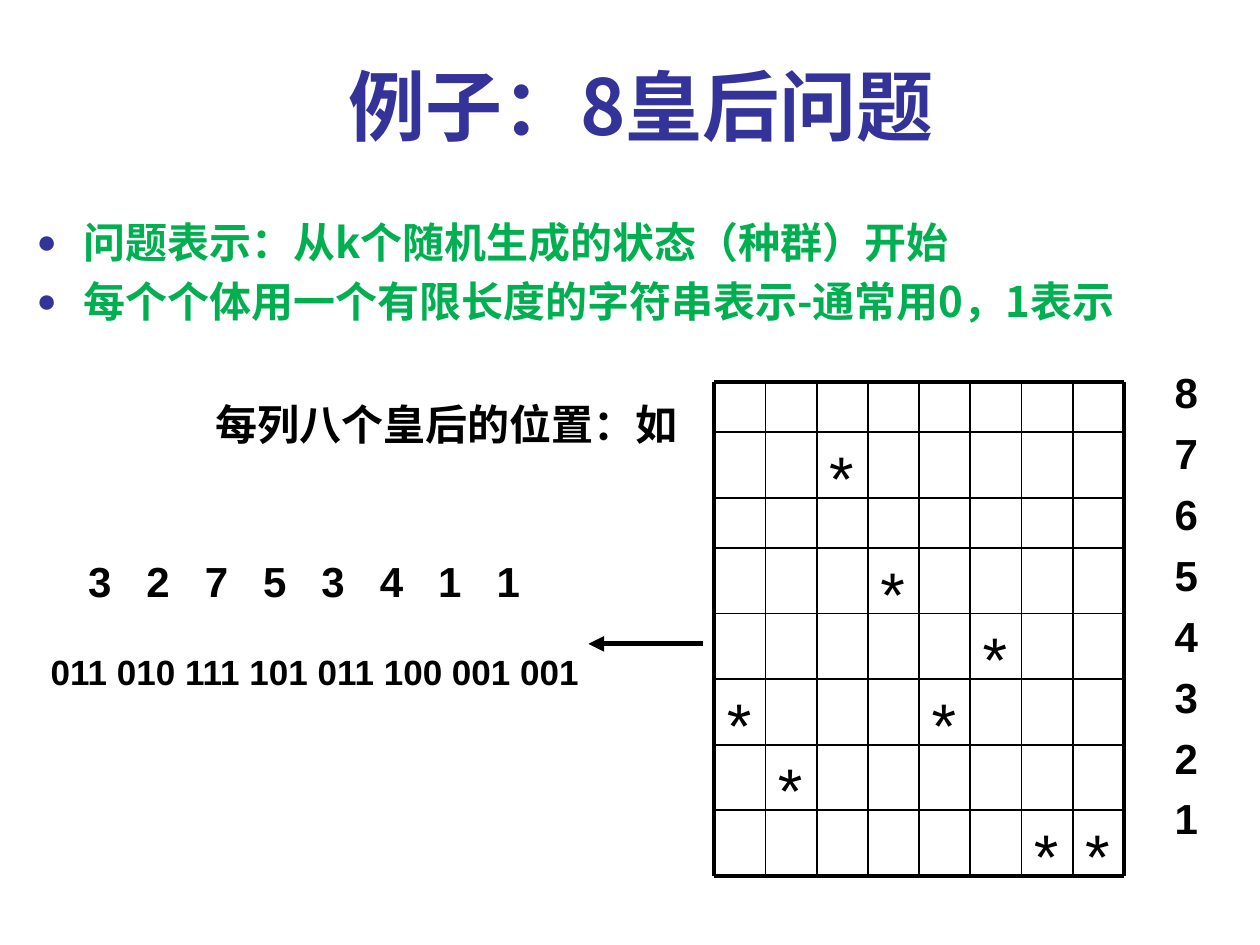
from itertools import accumulate
from lxml import etree
from pptx import Presentation
from pptx.dml.color import RGBColor
from pptx.enum.shapes import MSO_CONNECTOR
from pptx.enum.text import MSO_ANCHOR, PP_ALIGN
from pptx.oxml.ns import qn
from pptx.util import Inches, Pt

LINE = MSO_CONNECTOR.STRAIGHT
LEFT, MID = PP_ALIGN.LEFT, PP_ALIGN.CENTER
TOP, BASE = MSO_ANCHOR.TOP, MSO_ANCHOR.BOTTOM
NAVY = RGBColor(0x33, 0x33, 0x99)
GREEN = RGBColor(0x00, 0xB0, 0x50)
BLACK = RGBColor(0, 0, 0)
SANS, HAN = "Arial", "Noto Sans CJK SC"

TITLE = "例子：8皇后问题"
POINTS = ["问题表示：从k个随机生成的状态（种群）开始",
          "每个个体用一个有限长度的字符串表示-通常用0，1表示"]
LABEL = "每列八个皇后的位置：如"
QUEENS = [3, 2, 7, 5, 3, 4, 1, 1]
SIZE = len(QUEENS)
RANKS = list(range(SIZE, 0, -1))
CODE = " ".join(f"{queen:03b}" for queen in QUEENS)

BOARD_X, BOARD_Y, CELL = 5.67, 3.03, 3.25 / SIZE
HIGH, LOW = 0.52, 0.4
EMPTY = (8, 6)
STEP = 0.463

deck = Presentation()
deck.slide_width, deck.slide_height = Inches(10), Inches(7.5)
slide = deck.slides.add_slide(deck.slide_layouts[6])


def add_tag(node, name, **attrs):
    return etree.SubElement(node, qn(name), attrs)


def add_text(box, lines, size, color=BLACK, font=SANS, bold=True,
             align=MID, gap=0, anchor=TOP, inset=None, wrap=True):
    shape = slide.shapes.add_textbox(*map(Inches, box))
    frame = shape.text_frame
    frame.word_wrap = wrap
    frame.vertical_anchor = anchor
    if inset is not None:
        frame.margin_left = Inches(inset)
    frame.text = "\n".join(lines)
    for para in frame.paragraphs:
        para.alignment = align
        if gap:
            before = add_tag(para._p.get_or_add_pPr(), "a:spcBef")
            add_tag(before, "a:spcPct", val=str(gap * 1000))
        for run in para.runs:
            run.font.size = Pt(size)
            run.font.bold = bold
            run.font.name = font
            run.font.color.rgb = color
            add_tag(run._r.get_or_add_rPr(), "a:ea",
                    typeface=HAN if font == SANS else font)
    return frame


def add_line(start, end, width):
    line = slide.shapes.add_connector(LINE, *map(Inches, start + end))
    line.line.color.rgb = BLACK
    line.line.width = Pt(width)
    add_tag(line._element.spPr, "a:effectLst")
    return line


points = add_text((0.29, 1.72, 9.71, 5.77), POINTS, 24, GREEN, HAN,
                  align=LEFT, gap=20, inset=0)
points.margin_top = points.margin_right = points.margin_bottom = 0
for para in points.paragraphs:
    props = para._p.get_or_add_pPr()
    props.set("marL", str(Inches(0.37)))
    props.set("indent", str(Inches(-0.37)))
    add_tag(add_tag(props, "a:buClr"), "a:srgbClr", val=str(NAVY))
    add_tag(props, "a:buSzPct", val="80000")
    add_tag(props, "a:buFont", typeface=SANS)
    add_tag(props, "a:buChar", char="●")

add_text((1.42, 3.11, 4.25, 0.51), [LABEL], 24, gap=50)

xs = [BOARD_X + CELL * col for col in range(SIZE + 1)]
ys = list(accumulate((LOW if rank in EMPTY else HIGH for rank in RANKS),
                     initial=BOARD_Y))
for col, queen in enumerate(QUEENS):
    add_text((xs[col], ys[SIZE - queen], CELL, HIGH), ["*"], 36,
             bold=False, align=LEFT, gap=20)
for pos in range(SIZE + 1):
    width = 2.25 if pos in (0, SIZE) else 1
    add_line((xs[0], ys[pos]), (xs[-1], ys[pos]), width)
    add_line((xs[pos], ys[0]), (xs[pos], ys[-1]), width)
add_text((9.08, 2.86, 0.67, 4.04), map(str, RANKS), 24, gap=25)

arrow = add_line((5.58, 5.11), (4.67, 5.11), 3)
add_tag(arrow.line._get_or_add_ln(), "a:tailEnd", type="triangle")

digits = add_text((0.25, 4.36, 4.33, 0.51), ["\t".join(map(str, QUEENS))],
                  24, align=LEFT, gap=50, inset=0.45)
tabs = add_tag(digits.paragraphs[0]._p.get_or_add_pPr(), "a:tabLst")
for stop in range(1, SIZE):
    add_tag(tabs, "a:tab", pos=str(Inches(STEP * stop)), algn="l")
add_text((0.25, 5.11, 4.5, 0.44), [CODE], 20, gap=50)

add_text((0.83, 0.23, 8.52, 1.02), [TITLE], 44, NAVY, "Noto Sans CJK JP",
         anchor=BASE)

deck.save("out.pptx")
